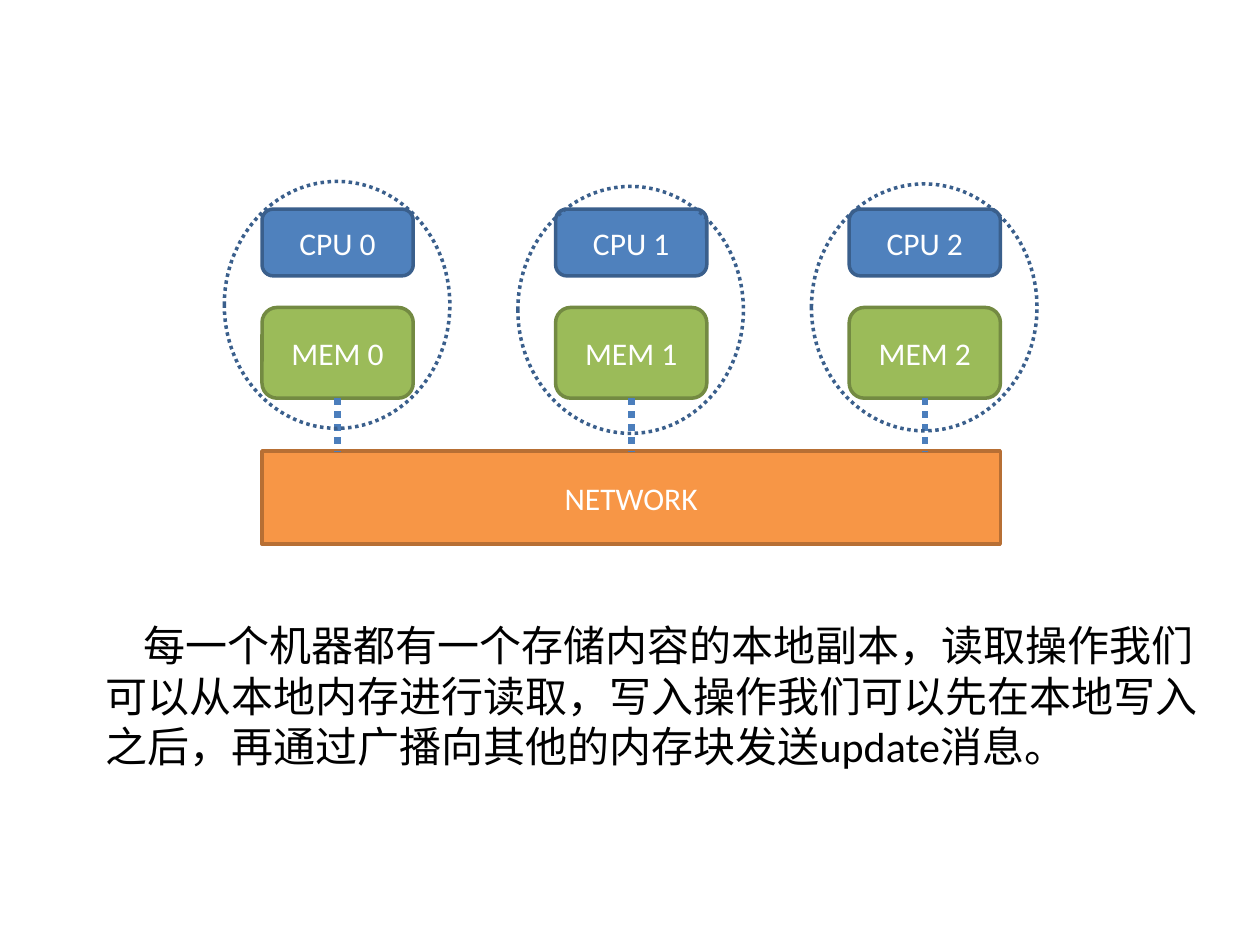
from lxml.etree import SubElement
from pptx import Presentation
from pptx.dml.color import RGBColor
from pptx.enum.dml import MSO_LINE
from pptx.enum.shapes import MSO_CONNECTOR, MSO_SHAPE
from pptx.enum.text import MSO_ANCHOR, PP_ALIGN
from pptx.oxml.ns import qn
from pptx.util import Inches, Pt

FONT = "Calibri"
BLACK = RGBColor(0x00, 0x00, 0x00)
WHITE = RGBColor(0xFF, 0xFF, 0xFF)
BLUE = RGBColor(0x4F, 0x81, 0xBD)
BLUE_EDGE = RGBColor(0x3A, 0x5F, 0x8C)
GREEN = RGBColor(0x9B, 0xBB, 0x59)
GREEN_EDGE = RGBColor(0x73, 0x8A, 0x42)
ORANGE = RGBColor(0xF7, 0x96, 0x46)
ORANGE_EDGE = RGBColor(0xB7, 0x6F, 0x34)
LINK_BLUE = RGBColor(0x4B, 0x7E, 0xBC)

NODE_WIDTH = 1.2
CPU_HEIGHT = 0.53
MEMORY_TOP, MEMORY_HEIGHT = 0.78, 0.72
NETWORK_TOP = 1.92
RING_WIDTH, RING_HEIGHT = 1.79, 1.96
RING_LEFT = -0.3
RING_TOPS = (-0.22, -0.18, -0.2)  # relative to the top of the CPU row
MACHINE_COUNT = 3


def add_run(paragraph, text, size, color):
    run = paragraph.add_run()
    run.text = text
    run.font.name = FONT
    run.font.size = Pt(size)
    run.font.color.rgb = color


def add_outlined(shapes, kind, box, edge):
    shape = shapes.add_shape(kind, *[Inches(length) for length in box])
    shape.shadow.inherit = False
    shape.line.color.rgb = edge
    shape.line.width = Pt(2)
    return shape


def add_block(shapes, kind, box, label, fill, edge):
    shape = add_outlined(shapes, kind, box, edge)
    shape.fill.solid()
    shape.fill.fore_color.rgb = fill
    frame = shape.text_frame
    frame.vertical_anchor = MSO_ANCHOR.MIDDLE
    paragraph = frame.paragraphs[0]
    paragraph.alignment = PP_ALIGN.CENTER
    add_run(paragraph, label, 18, WHITE)


def add_link(shapes, x, top, bottom):
    link = shapes.add_connector(
        MSO_CONNECTOR.STRAIGHT, Inches(x), Inches(top), Inches(x), Inches(bottom))
    link.line.color.rgb = LINK_BLUE
    link.line.width = Pt(3.75)
    link.line.dash_style = MSO_LINE.ROUND_DOT
    SubElement(link._element.spPr, qn("a:effectLst"))


def add_machine(shapes, left, top, number):
    # CPU above its local memory
    add_block(shapes, MSO_SHAPE.ROUNDED_RECTANGLE,
              (left, top, NODE_WIDTH, CPU_HEIGHT), f"CPU {number}", BLUE, BLUE_EDGE)
    add_block(shapes, MSO_SHAPE.ROUNDED_RECTANGLE,
              (left, top + MEMORY_TOP, NODE_WIDTH, MEMORY_HEIGHT),
              f"MEM {number}", GREEN, GREEN_EDGE)
    # Link from memory down to the network
    add_link(shapes, left + NODE_WIDTH / 2,
             top + MEMORY_TOP + MEMORY_HEIGHT, top + NETWORK_TOP)
    # Dotted ring around the machine
    ring = add_outlined(
        shapes, MSO_SHAPE.OVAL,
        (left + RING_LEFT, top + RING_TOPS[number], RING_WIDTH, RING_HEIGHT), BLUE_EDGE)
    ring.fill.background()
    ring.line.dash_style = MSO_LINE.ROUND_DOT


def add_diagram(slide, left, top, width, height):
    shapes = slide.shapes.add_group_shape().shapes
    add_block(shapes, MSO_SHAPE.RECTANGLE,
              (left, top + NETWORK_TOP, width, height - NETWORK_TOP),
              "NETWORK", ORANGE, ORANGE_EDGE)
    pitch = (width - NODE_WIDTH) / (MACHINE_COUNT - 1)
    for number in range(MACHINE_COUNT):
        add_machine(shapes, left + number * pitch, top, number)


def add_explanation(slide, left, top, width, height):
    text_box = slide.shapes.add_textbox(
        Inches(left), Inches(top), Inches(width), Inches(height))
    frame = text_box.text_frame
    frame.word_wrap = True
    paragraph = frame.paragraphs[0]
    # First-line indent
    paragraph._p.get_or_add_pPr().set("indent", str(Inches(0.3)))
    add_run(paragraph,
            "每一个机器都有一个存储内容的本地副本，读取操作我们可以从本地内存进行读取，"
            "写入操作我们可以先在本地写入之后，再通过广播向其他的内存块发送update消息。",
            24, BLACK)


def main():
    presentation = Presentation()
    presentation.slide_width = Inches(10)
    presentation.slide_height = Inches(7.5)
    slide = presentation.slides.add_slide(presentation.slide_layouts[6])
    add_explanation(slide, 0.74, 4.87, 8.88, 1.31)
    add_diagram(slide, 2.08, 1.66, 5.86, 2.66)
    presentation.save("out.pptx")


if __name__ == "__main__":
    main()
